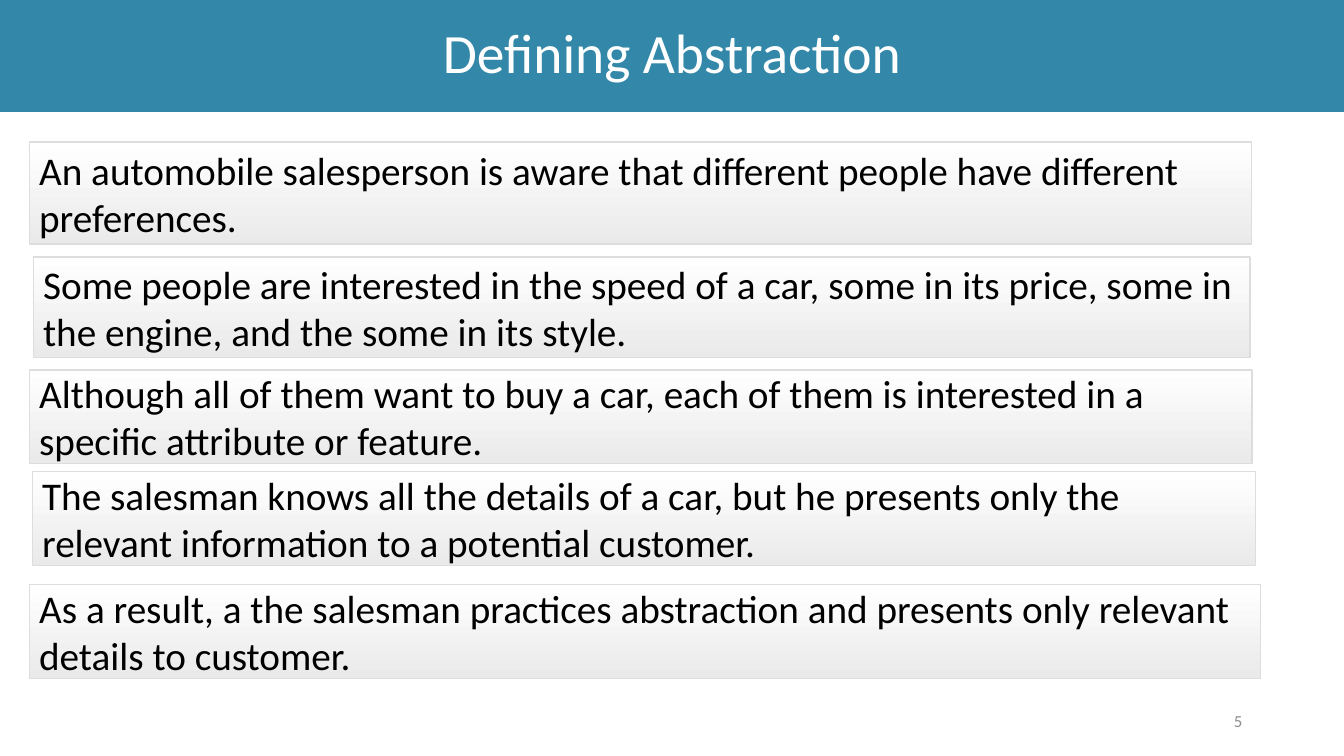
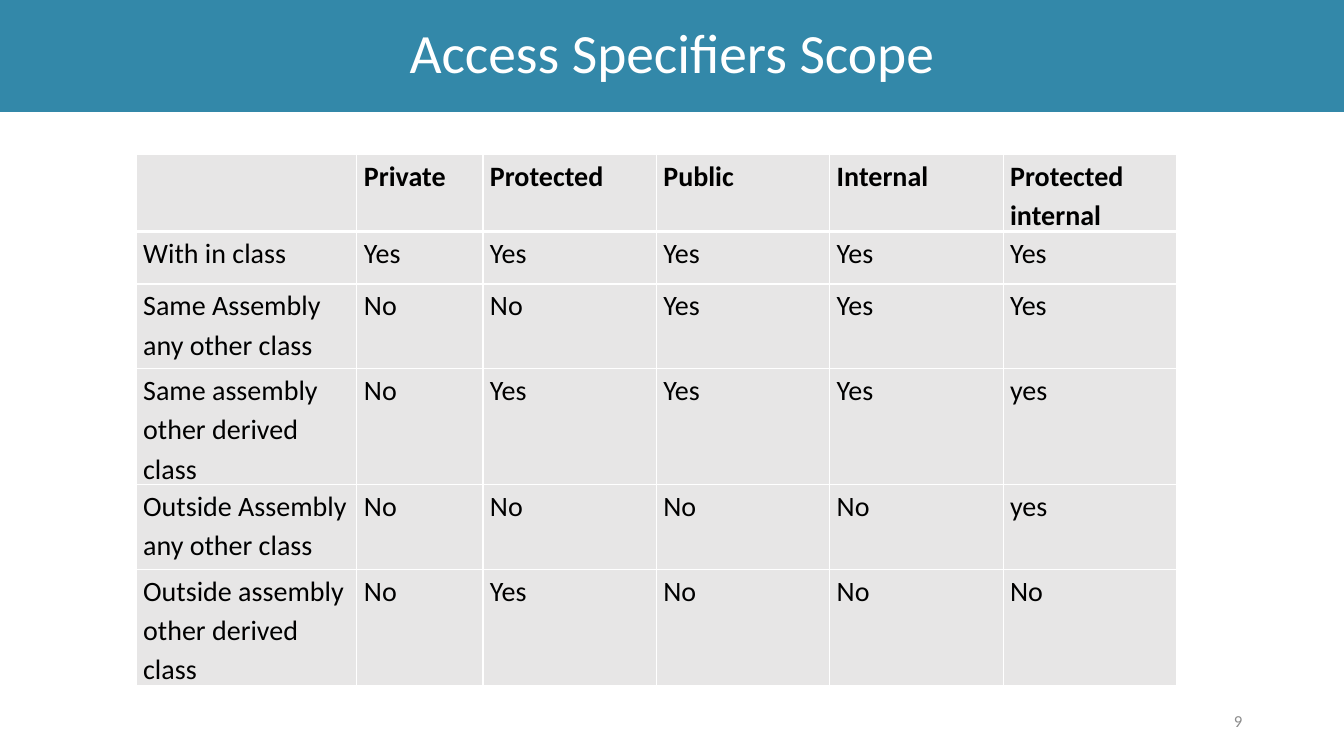
from dataclasses import dataclass

from lxml.etree import SubElement
from pptx import Presentation
from pptx.dml.color import RGBColor
from pptx.enum.shapes import MSO_SHAPE as SHAPE
from pptx.enum.text import MSO_ANCHOR as ANCHOR, PP_ALIGN as ALIGN
from pptx.oxml.ns import qn
from pptx.slide import Slide
from pptx.table import _Cell as Cell
from pptx.text.text import TextFrame
from pptx.util import Inches, Pt

FONT = "Calibri"
COLORS = {
    "band": "3388A9",
    "white": "FFFFFF",
    "text": "000000",
    "number": "8C8C8C",
    "box_end": "EAEAEA",
    "box_line": "DDDDDD",
    "cell": "E7E6E6",
}
SLIDE_W, SLIDE_H = 13.33, 7.5


@dataclass
class Statement:
    left: float
    top: float
    width: float
    height: float
    text: str


STATEMENTS = [
    Statement(0.29, 1.41, 12.12, 1.01,
              "An automobile salesperson is aware that different people have "
              "different preferences."),
    Statement(0.33, 2.55, 12.07, 1,
              "Some people are interested in the speed of a car, some in its price, "
              "some in the engine, and the some in its style."),
    Statement(0.29, 3.67, 12.13, 0.93,
              "Although all of them want to buy a car, each of them is interested in "
              "a specific attribute or feature."),
    Statement(0.32, 4.68, 12.13, 0.93,
              "The salesman knows all the details of a car, but he presents only the "
              "relevant information to a potential customer."),
    Statement(0.29, 5.8, 12.21, 0.93,
              "As a result, a the salesman practices abstraction and presents only "
              "relevant details to customer."),
]

SCOPES = [
    ["", "Private", "Protected", "Public", "Internal", "Protected internal"],
    ["With in class", "Yes", "Yes", "Yes", "Yes", "Yes"],
    ["Same Assembly any other class", "No", "No", "Yes", "Yes", "Yes"],
    ["Same assembly other derived class", "No", "Yes", "Yes", "Yes", "yes"],
    ["Outside Assembly any other class", "No", "No", "No", "No", "yes"],
    ["Outside assembly other derived class", "No", "Yes", "No", "No", "No"],
]
COL_WIDTHS = [2.19, 1.25] + [1.72] * 4
ROW_HEIGHTS = [0.55, 0.52] + [0.84, 1.12] * 2


def rgb(name: str) -> RGBColor:
    return RGBColor.from_string(COLORS[name])


def set_text(tf: TextFrame, text: str, size: float, color: str,
             align: ALIGN = ALIGN.LEFT, spacing: float = 1.0,
             bold: bool = False) -> None:
    tf.word_wrap = True
    tf.text = text
    for p in tf.paragraphs:
        p.alignment = align
        p.line_spacing = spacing
        for r in p.runs:
            r.font.name = FONT
            r.font.size = Pt(size)
            r.font.bold = bold
            r.font.color.rgb = rgb(color)


def add_frame(s: Slide, title: str, number: int) -> None:
    sp = s.shapes.add_shape(SHAPE.RECTANGLE, 0, 0, Inches(SLIDE_W), Inches(1.11))
    sp.shadow.inherit = False
    sp.fill.solid()
    sp.fill.fore_color.rgb = rgb("band")
    sp.line.fill.background()
    sp.text_frame.vertical_anchor = ANCHOR.MIDDLE
    set_text(sp.text_frame, title, 39.6, "white", ALIGN.CENTER, 0.9)

    tb = s.shapes.add_textbox(Inches(9.42), Inches(6.95), Inches(3), Inches(0.4))
    tb.text_frame.vertical_anchor = ANCHOR.MIDDLE
    set_text(tb.text_frame, str(number), 12, "number", ALIGN.RIGHT)


def add_statement(s: Slide, item: Statement) -> None:
    sp = s.shapes.add_shape(SHAPE.RECTANGLE, Inches(item.left), Inches(item.top),
                            Inches(item.width), Inches(item.height))
    sp.shadow.inherit = False
    sp.fill.gradient()
    sp.fill.gradient_angle = 270
    for stop, color in zip(sp.fill.gradient_stops, ("white", "box_end")):
        stop.color.rgb = rgb(color)
    sp.line.color.rgb = rgb("box_line")
    sp.line.width = Pt(1)
    sp.text_frame.vertical_anchor = ANCHOR.MIDDLE
    set_text(sp.text_frame, item.text, 28, "text")


def set_borders(cell: Cell, top: float, bottom: float) -> None:
    tc_pr = cell._tc.get_or_add_tcPr()
    for side, width in (("L", 1), ("R", 1), ("T", top), ("B", bottom)):
        ln = SubElement(tc_pr, qn(f"a:ln{side}"), w=str(Pt(width)))
        fill = SubElement(ln, qn("a:solidFill"))
        SubElement(fill, qn("a:srgbClr"), val=COLORS["white"])


def add_scope_table(s: Slide) -> None:
    table = s.shapes.add_table(
        len(SCOPES), len(COL_WIDTHS), Inches(1.35), Inches(1.53),
        Inches(sum(COL_WIDTHS)), Inches(sum(ROW_HEIGHTS))).table
    for col, width in zip(table.columns, COL_WIDTHS):
        col.width = Inches(width)
    for i, (row, height) in enumerate(zip(table.rows, ROW_HEIGHTS)):
        row.height = Inches(height)
        for cell, text in zip(row.cells, SCOPES[i]):
            set_borders(cell, 3 if i == 1 else 1, 3 if i == 0 else 1)
            cell.fill.solid()
            cell.fill.fore_color.rgb = rgb("cell")
            cell.margin_left = cell.margin_right = Inches(0.07)
            cell.margin_top = cell.margin_bottom = 0
            set_text(cell.text_frame, text, 20, "text", spacing=1.15, bold=i == 0)


prs = Presentation()
prs.slide_width, prs.slide_height = Inches(SLIDE_W), Inches(SLIDE_H)
blank = prs.slide_layouts[6]

s = prs.slides.add_slide(blank)
add_frame(s, "Defining Abstraction", 5)
for item in STATEMENTS:
    add_statement(s, item)

s = prs.slides.add_slide(blank)
add_frame(s, "Access Specifiers Scope", 9)
add_scope_table(s)

prs.save("out.pptx")
